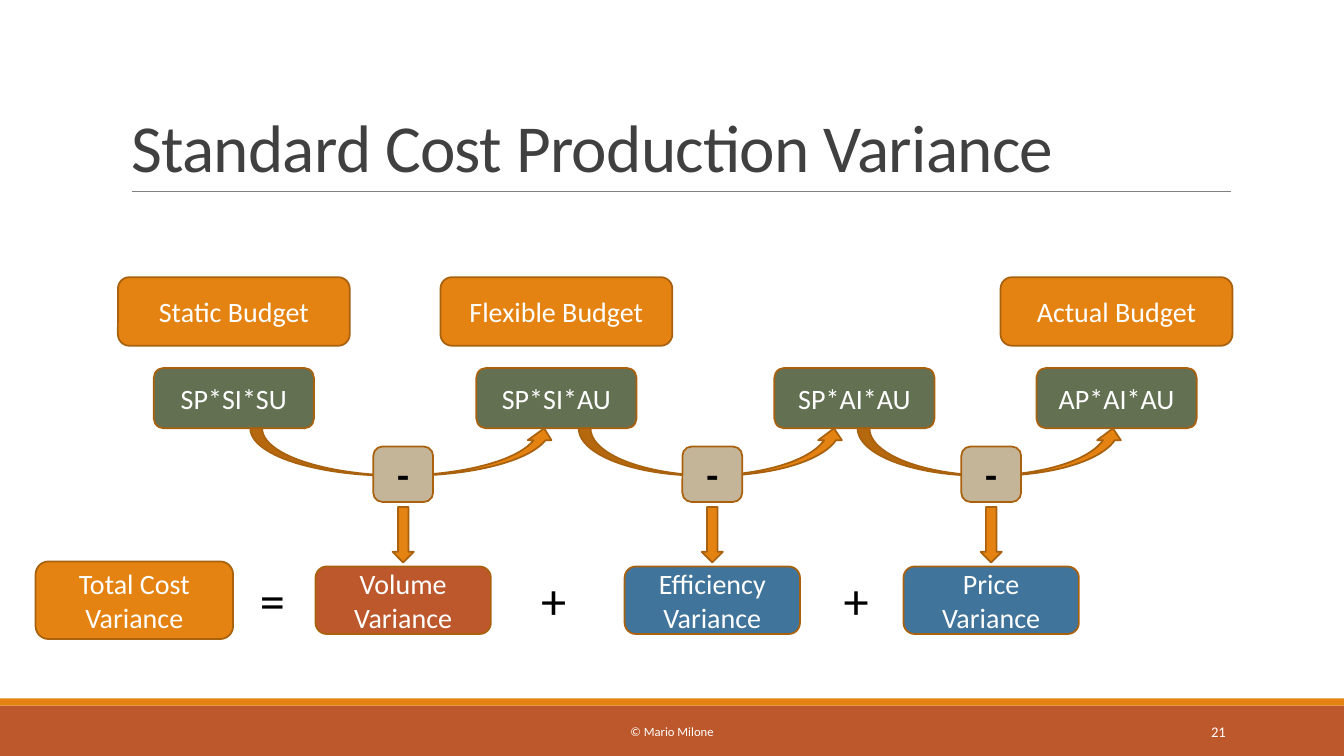
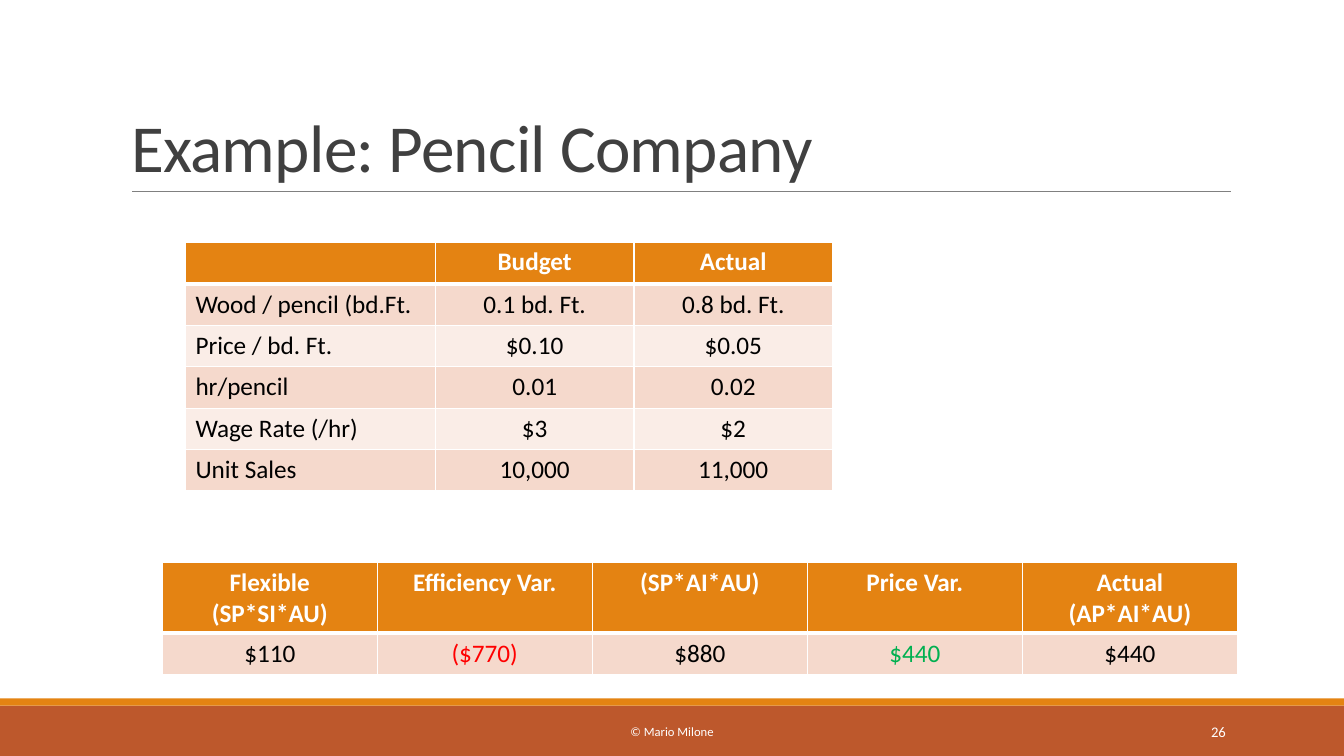
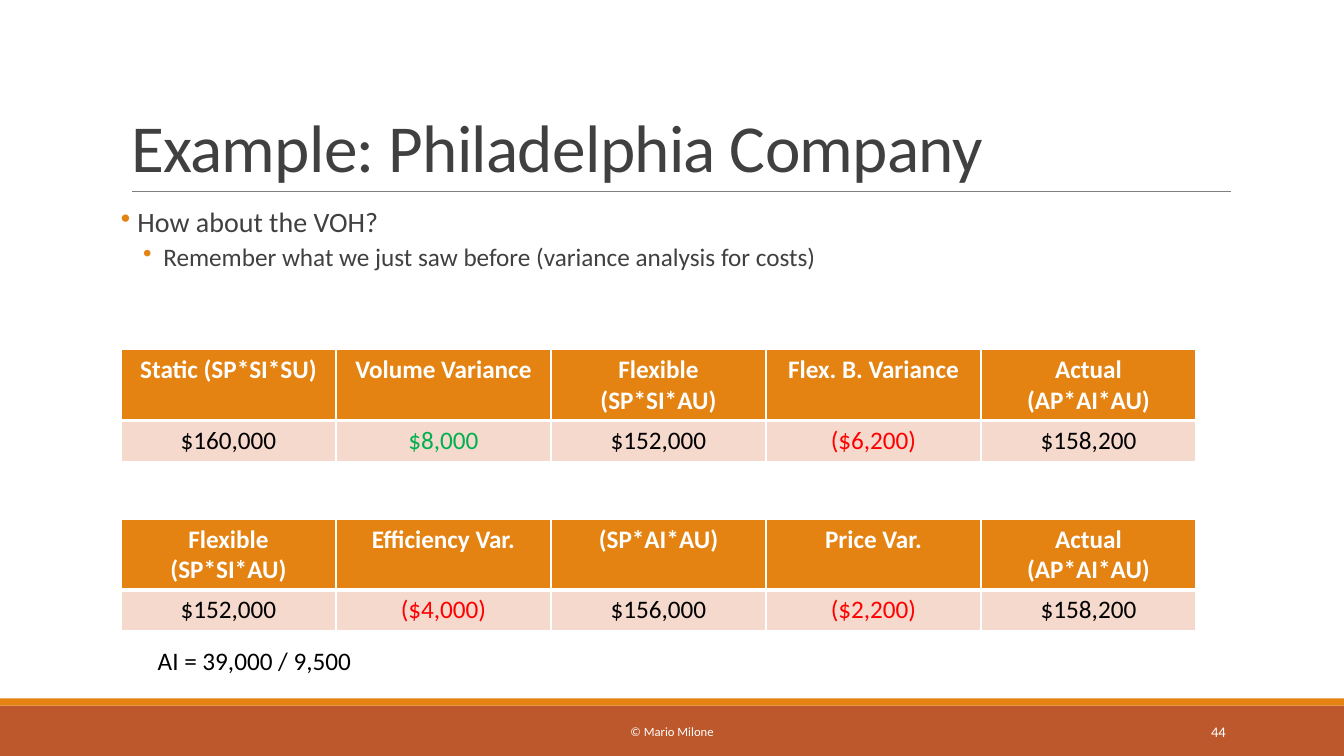
import lxml.etree
import pptx
import pptx.dml.color
import pptx.enum.shapes
import pptx.enum.text
import pptx.oxml.ns
import pptx.util

SHAPES = pptx.enum.shapes.MSO_SHAPE
ALIGN = pptx.enum.text.PP_ALIGN
ANCHOR = pptx.enum.text.MSO_ANCHOR

SLIDE_WIDTH = pptx.util.Inches(13.333)
SLIDE_HEIGHT = pptx.util.Inches(7.5)
COLUMNS, ROWS = 40, 30

FONT = "Calibri"
ORANGE, DARK_ORANGE, RUST = "E48312", "A9610D", "BD582C"
GREEN, BLUE, SAND = "637052", "40749B", "C5B598"
WHITE, BLACK, DARK_GRAY, GRAY = "FFFFFF", "000000", "404040", "808080"
LIGHT_BAND, PALE_BAND = "F5D9CC", "FAEDE7"
FAVORABLE, UNFAVORABLE = "00B050", "FF0000"

HEADER_ROW, BODY_ROW = 1.68, 1.64
VARIANCE_COLUMNS = [6.4] * 5
FLEXIBLE_HEADINGS = ["Flexible (SP*SI*AU)", "Efficiency Var.", "(SP*AI*AU)",
                     "Price Var.", "Actual (AP*AI*AU)"]


def x(columns):
    return round(SLIDE_WIDTH * columns / COLUMNS)


def y(rows):
    return round(SLIDE_HEIGHT * rows / ROWS)


def area(left, top, width, height):
    return x(left), y(top), x(width), y(height)


def color(value):
    return pptx.dml.color.RGBColor.from_string(value)


def add_xml(parent, tag, **attributes):
    return lxml.etree.SubElement(parent, pptx.oxml.ns.qn(tag), attributes)


def write(paragraph, text, size=20, ink=WHITE, bold=False, align=ALIGN.LEFT):
    paragraph.alignment = align
    run = paragraph.add_run()
    run.text = text
    run.font.name = FONT
    run.font.size = pptx.util.Pt(size)
    run.font.bold = bold
    run.font.color.rgb = color(ink)
    return run


def add_text(slide, box, text, anchor=ANCHOR.TOP, **text_format):
    frame = slide.shapes.add_textbox(*area(*box)).text_frame
    frame.word_wrap = True
    frame.vertical_anchor = anchor
    write(frame.paragraphs[0], text, **text_format)


def add_shape(slide, kind, box, fill, outline=DARK_ORANGE):
    shape = slide.shapes.add_shape(kind, *area(*box))
    shape.shadow.inherit = False
    shape.fill.solid()
    shape.fill.fore_color.rgb = color(fill)
    if outline:
        shape.line.color.rgb = color(outline)
        shape.line.width = pptx.util.Pt(1.25)
    else:
        shape.line.fill.background()
    return shape


def add_centered(slide, kind, center, top, width, height, fill):
    """Add a shape whose horizontal middle is the given column."""
    return add_shape(slide, kind, (center - width / 2, top, width, height), fill)


def add_box(slide, text, center, top, width, height, fill, **text_format):
    shape = add_centered(slide, SHAPES.FLOWCHART_ALTERNATE_PROCESS,
                         center, top, width, height, fill)
    shape.text_frame.word_wrap = True
    shape.text_frame.vertical_anchor = ANCHOR.MIDDLE
    write(shape.text_frame.paragraphs[0], text, align=ALIGN.CENTER, **text_format)


def add_rule(slide, left, right, top):
    rule = slide.shapes.add_connector(pptx.enum.shapes.MSO_CONNECTOR.STRAIGHT,
                                      x(left), y(top), x(right), y(top))
    rule.line.color.rgb = color(GRAY)
    rule.line.width = pptx.util.Pt(0.5)
    add_xml(rule._element.spPr, "a:effectLst")


def add_title(slide, text):
    title = slide.shapes.title
    title.left, title.top, title.width, title.height = area(3.6, 1.24, 33, 6.36)
    frame = title.text_frame
    frame.word_wrap = True
    frame.auto_size = pptx.enum.text.MSO_AUTO_SIZE.NONE
    frame.vertical_anchor = ANCHOR.BOTTOM
    frame.paragraphs[0].line_spacing = 0.85
    run = write(frame.paragraphs[0], text, size=48, ink=DARK_GRAY)
    run.font._element.set("spc", "-50")


def add_slide(presentation, title, number):
    """Add a slide with the shared bands, title, rule and footer."""
    slide = presentation.slides.add_slide(presentation.slide_layouts[5])
    add_shape(slide, SHAPES.RECTANGLE, (0, 28, COLUMNS, 2), RUST, None)
    add_shape(slide, SHAPES.RECTANGLE, (0, 27.72, COLUMNS, 0.28), ORANGE, None)
    add_rule(slide, 3.93, 36.63, 7.6)
    add_title(slide, title)
    add_text(slide, (12.1, 28.24, 15.8, 1.6), "© Mario Milone",
             ANCHOR.MIDDLE, size=9, align=ALIGN.CENTER)
    add_text(slide, (32.5, 28.24, 4.28, 1.6), str(number),
             ANCHOR.MIDDLE, size=10.5, align=ALIGN.RIGHT)
    return slide


def add_borders(cell, top, bottom):
    """Draw white borders; top and bottom are widths in points."""
    properties = cell._tc.get_or_add_tcPr()
    for side, width in (("L", 1), ("R", 1), ("T", top), ("B", bottom)):
        line = add_xml(properties, f"a:ln{side}", w=str(pptx.util.Pt(width)))
        add_xml(add_xml(line, "a:solidFill"), "a:srgbClr", val=WHITE)


def add_table(slide, left, top, widths, rows, ink=lambda column, text: BLACK,
              first_align=ALIGN.CENTER):
    """Add a banded table; ink picks the colour of each body cell's text."""
    heights = [HEADER_ROW] + [BODY_ROW] * (len(rows) - 1)
    table = slide.shapes.add_table(
        len(rows), len(widths), *area(left, top, sum(widths), sum(heights))).table
    for column, width in zip(table.columns, widths):
        column.width = x(width)
    for row_index, (texts, height) in enumerate(zip(rows, heights)):
        table.rows[row_index].height = y(height)
        header = row_index == 0
        band = LIGHT_BAND if row_index % 2 else PALE_BAND
        for column_index, text in enumerate(texts):
            cell = table.cell(row_index, column_index)
            add_borders(cell, 3 if row_index == 1 else 1, 3 if header else 1)
            cell.fill.solid()
            cell.fill.fore_color.rgb = color(ORANGE if header else band)
            if text:
                write(cell.text_frame.paragraphs[0], text, size=18, bold=header,
                      ink=WHITE if header else ink(column_index, text),
                      align=ALIGN.CENTER if column_index else first_align)


def variance_ink(column, text):
    if text.startswith("("):
        return UNFAVORABLE
    return FAVORABLE if column % 2 else BLACK


def add_variance_table(slide, left, top, headings, amounts):
    add_table(slide, left, top, VARIANCE_COLUMNS, [headings, amounts], variance_ink)


def add_bullet(paragraph, text, size, margin, indent, before, after):
    """Write a bulleted paragraph; margin and indent are in inches."""
    paragraph.line_spacing = 0.9
    paragraph.space_before = pptx.util.Pt(before)
    paragraph.space_after = pptx.util.Pt(after)
    write(paragraph, text, size=size, ink=DARK_GRAY)
    properties = paragraph._p.get_or_add_pPr()
    properties.set("marL", str(pptx.util.Inches(margin)))
    properties.set("indent", str(pptx.util.Inches(indent)))
    add_xml(add_xml(properties, "a:buClr"), "a:srgbClr", val=ORANGE)
    add_xml(properties, "a:buChar", char="•")


def build_variance_diagram(presentation):
    slide = add_slide(presentation, "Standard Cost Production Variance", 21)
    stages = [("Static Budget", "SP*SI*SU", 6.96), ("Flexible Budget", "SP*SI*AU", 16.56),
              (None, "SP*AI*AU", 25.43), ("Actual Budget", "AP*AI*AU", 33.23)]
    for budget, formula, center in stages:
        if budget:
            add_box(slide, budget, center, 11, 6.9, 2.72, ORANGE)
        add_box(slide, formula, center, 14.6, 4.77, 2.4, GREEN)

    variances = [("Volume Variance", 12, 9.1, RUST),
                 ("Efficiency Variance", 21.2, 7.95, BLUE),
                 ("Price Variance", 29.5, 7.95, BLUE)]
    for name, center, span, fill in variances:
        add_centered(slide, SHAPES.CURVED_UP_ARROW, center, 17, span, 1.88, ORANGE)
        add_box(slide, "-", center, 17.72, 1.78, 2.2, SAND, size=28, ink=BLACK, bold=True)
        add_centered(slide, SHAPES.DOWN_ARROW, center, 20.12, 0.63, 2.2, ORANGE)
        add_box(slide, name, center, 22.48, 5.22, 2.68, fill)

    add_box(slide, "Total Cost Variance", 4, 22.28, 5.88, 3.08, ORANGE)
    for sign, left in (("=", 7.44), ("+", 15.81), ("+", 24.81)):
        add_text(slide, (left, 22.4, 1.47, 2.8), sign, size=36, ink=BLACK)


def build_pencil_example(presentation):
    slide = add_slide(presentation, "Example: Pencil Company", 26)
    add_table(slide, 5.52, 9.6, [7.44, 5.91, 5.91], [
        ["", "Budget", "Actual"],
        ["Wood / pencil (bd.Ft.", "0.1 bd. Ft.", "0.8 bd. Ft."],
        ["Price / bd. Ft.", "$0.10", "$0.05"],
        ["hr/pencil", "0.01", "0.02"],
        ["Wage Rate (/hr)", "$3", "$2"],
        ["Unit Sales", "10,000", "11,000"],
    ], first_align=ALIGN.LEFT)
    add_variance_table(slide, 4.83, 22.32, FLEXIBLE_HEADINGS,
                       ["$110", "($770)", "$880", "$440", "$440"])


def build_overhead_example(presentation):
    slide = add_slide(presentation, "Example: Philadelphia Company", 44)
    frame = slide.shapes.add_textbox(*area(3.6, 8.08, 33, 4)).text_frame
    frame.word_wrap = True
    frame.margin_left = frame.margin_right = 0
    add_bullet(frame.paragraphs[0], " How about the VOH?", 20, 0.1, -0.1, 12, 2)
    detail = frame.add_paragraph()
    detail.level = 1
    add_bullet(detail, "Remember what we just saw before (variance analysis for costs)",
               18, 0.42, -0.2, 2, 4)
    add_variance_table(slide, 3.6, 13.88,
                       ["Static (SP*SI*SU)", "Volume Variance", "Flexible (SP*SI*AU)",
                        "Flex. B. Variance", "Actual (AP*AI*AU)"],
                       ["$160,000", "$8,000", "$152,000", "($6,200)", "$158,200"])
    add_variance_table(slide, 3.6, 20.6, FLEXIBLE_HEADINGS,
                       ["$152,000", "($4,000)", "$156,000", "($2,200)", "$158,200"])
    add_text(slide, (4.4, 25.4, 8.28, 1.6), "AI = 39,000 / 9,500", size=18, ink=BLACK)


def main():
    presentation = pptx.Presentation()
    presentation.slide_width = SLIDE_WIDTH
    presentation.slide_height = SLIDE_HEIGHT
    build_variance_diagram(presentation)
    build_pencil_example(presentation)
    build_overhead_example(presentation)
    presentation.save("out.pptx")


if __name__ == "__main__":
    main()
